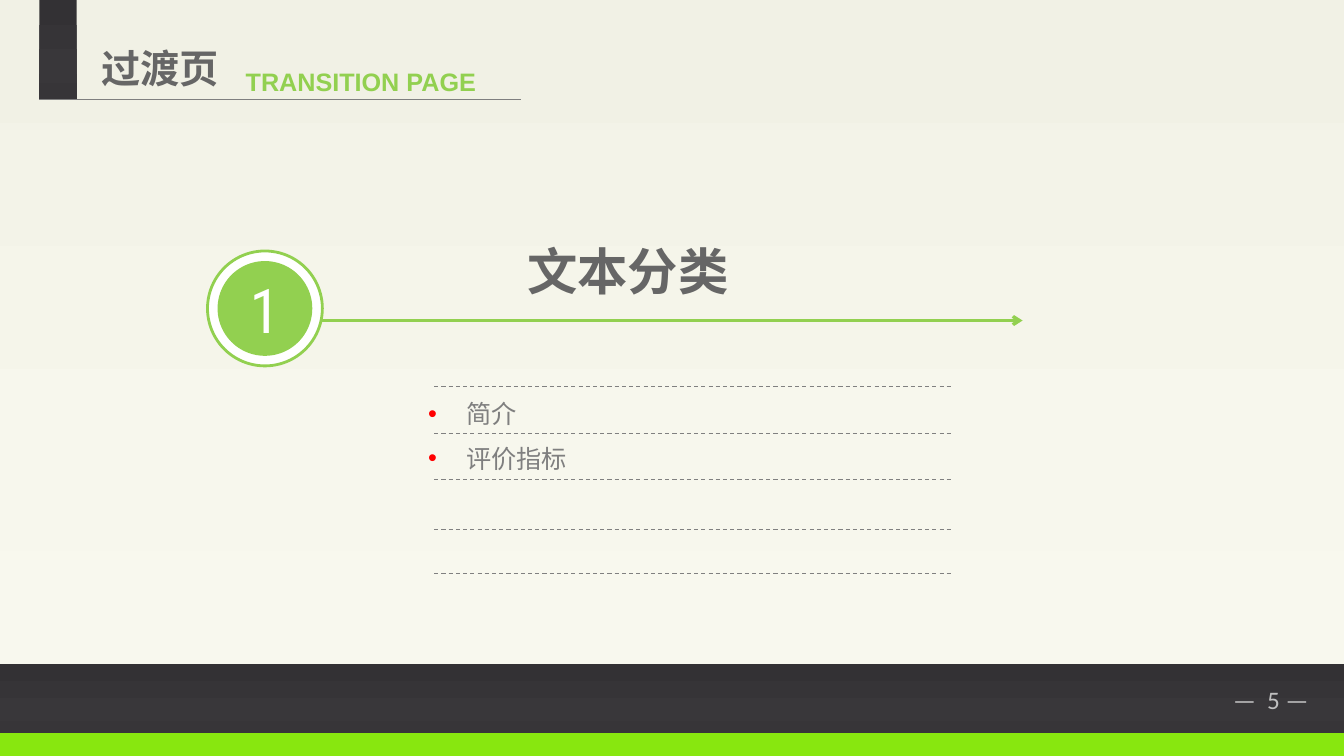
from copy import deepcopy

from lxml.etree import SubElement
from pptx import Presentation
from pptx.dml.color import RGBColor
from pptx.enum.dml import MSO_LINE
from pptx.enum.shapes import MSO_CONNECTOR, MSO_SHAPE
from pptx.enum.text import MSO_ANCHOR, PP_ALIGN
from pptx.oxml.ns import qn
from pptx.util import Inches, Pt

COLORS = {
    "lime": "88E70F", "green": "92D050", "white": "FFFFFF", "heading": "666666",
    "body": "7F7F7F", "dash": "808080", "number": "BFBFBF", "bullet": "FF0000",
}
CREAM = [(0, "F1F1E5"), (0.74, "F7F7ED"), (0.83, "F8F8EE"), (1, "F9F9EF")]
CHARCOAL = [(0, "333134"), (0.74, "39373A"), (0.83, "373538"), (1, "363436")]
CHINESE = "Noto Sans CJK SC"
WIDTH, HEIGHT = 13.34, 7.5


def color(name):
    return RGBColor.from_string(COLORS[name])


class TransitionPage:
    def __init__(self, deck):
        self.page = deck.slides.add_slide(deck.slide_layouts[6])

    def shape(self, kind, left, top, width, height, fill=None, line=None):
        shape = self.page.shapes.add_shape(
            kind, Inches(left), Inches(top), Inches(width), Inches(height))
        shape.shadow.inherit = False
        if fill:
            shape.fill.solid()
            shape.fill.fore_color.rgb = color(fill)
        if line:
            shape.line.color.rgb = color(line)
            shape.line.width = Pt(2)
        else:
            shape.line.fill.background()
        return shape

    def gradient_band(self, left, top, width, height, stops):
        """Add a rectangle shaded from top to bottom."""
        band = self.shape(MSO_SHAPE.RECTANGLE, left, top, width, height)
        band.fill.gradient()
        band.fill.gradient_angle = 270
        stop_list = band._element.spPr.find(".//" + qn("a:gsLst"))
        while len(stop_list) < len(stops):
            stop_list.append(deepcopy(stop_list[0]))
        for stop, (position, shade) in zip(band.fill.gradient_stops, stops):
            stop.position = position
            stop.color.rgb = RGBColor.from_string(shade)

    def line(self, left, right, y, name, width=0.75, dashed=False, arrow=False):
        line = self.page.shapes.add_connector(
            MSO_CONNECTOR.STRAIGHT, Inches(left), Inches(y), Inches(right), Inches(y))
        line.line.color.rgb = color(name)
        line.line.width = Pt(width)
        if dashed:
            line.line.dash_style = MSO_LINE.DASH
        if arrow:
            SubElement(line.line._get_or_add_ln(), qn("a:tailEnd"), type="arrow")
        SubElement(line._element.spPr, qn("a:effectLst"))

    def style(self, para, size, font, name, bold=False):
        for span in para.runs:
            span.font.size = Pt(size)
            span.font.name = font
            span.font.bold = bold
            span.font.color.rgb = color(name)
            SubElement(span.font._element, qn("a:ea"), typeface=font)

    def text(self, left, top, width, height, words, size, font, name,
             bold=False, align=PP_ALIGN.LEFT, wrap=True):
        box = self.page.shapes.add_textbox(
            Inches(left), Inches(top), Inches(width), Inches(height))
        box.text_frame.word_wrap = wrap
        box.text_frame.text = words
        for para in box.text_frame.paragraphs:
            para.alignment = align
            self.style(para, size, font, name, bold)
        return box

    def bullets(self, left, top, width, height, items):
        box = self.text(left, top, width, height, "\n".join(items), 18, CHINESE, "body")
        for para in box.text_frame.paragraphs:
            para.space_before = Pt(6)
            para.line_spacing = Pt(26)
            properties = para._element.get_or_add_pPr()
            properties.set("marL", str(Inches(0.38)))
            properties.set("indent", str(Inches(-0.38)))
            tint = SubElement(properties, qn("a:buClr"))
            SubElement(tint, qn("a:srgbClr"), val=COLORS["bullet"])
            SubElement(properties, qn("a:buFont"), typeface="Arial")
            SubElement(properties, qn("a:buChar"), char="•")

    def badge(self, left, top, size, ring, number):
        """Add a numbered disc inside a white ring."""
        self.shape(MSO_SHAPE.OVAL, left, top, size, size, "white", "green")
        inner = size - 2 * ring
        disc = self.shape(MSO_SHAPE.OVAL, left + ring, top + ring, inner, inner, "green")
        disc.text_frame.text = number
        disc.text_frame.vertical_anchor = MSO_ANCHOR.MIDDLE
        para = disc.text_frame.paragraphs[0]
        para.alignment = PP_ALIGN.CENTER
        self.style(para, 44, "Roboto Condensed", "white")


def main():
    deck = Presentation()
    deck.slide_width, deck.slide_height = Inches(WIDTH), Inches(HEIGHT)
    page = TransitionPage(deck)

    page.gradient_band(0, 0, WIDTH, 6.59, CREAM)
    page.shape(MSO_SHAPE.RECTANGLE, 0, 7.26, WIDTH, 0.24, "lime")
    page.gradient_band(0, 6.59, WIDTH, 0.68, CHARCOAL)
    page.text(12.14, 6.74, 1.19, 0.4, "—  5 —", 18, "Calibri", "number", wrap=False)

    page.gradient_band(0.39, 0, 0.37, 0.99, CHARCOAL)
    page.text(0.91, 0.39, 1.59, 0.57, "过渡页", 28, CHINESE, "heading", bold=True)
    page.text(2.34, 0.61, 2.68, 0.4, "TRANSITION PAGE", 18, "Arial", "green", bold=True)
    page.line(0.39, 5.17, 0.99, "body")

    page.badge(2.06, 2.49, 1.14, 0.1, "1")
    page.line(3.2, 10.15, 3.18, "green", width=2.25, arrow=True)
    page.text(3.32, 2.33, 5.71, 0.71, " 文本分类", 36, CHINESE, "heading",
              bold=True, align=PP_ALIGN.CENTER)

    page.bullets(4.15, 3.84, 5.29, 0.91, ["简介", "评价指标"])
    for y in (3.83, 4.3, 4.76, 5.25, 5.69):
        page.line(4.31, 9.44, y, "dash", dashed=True)

    deck.save("out.pptx")


if __name__ == "__main__":
    main()
